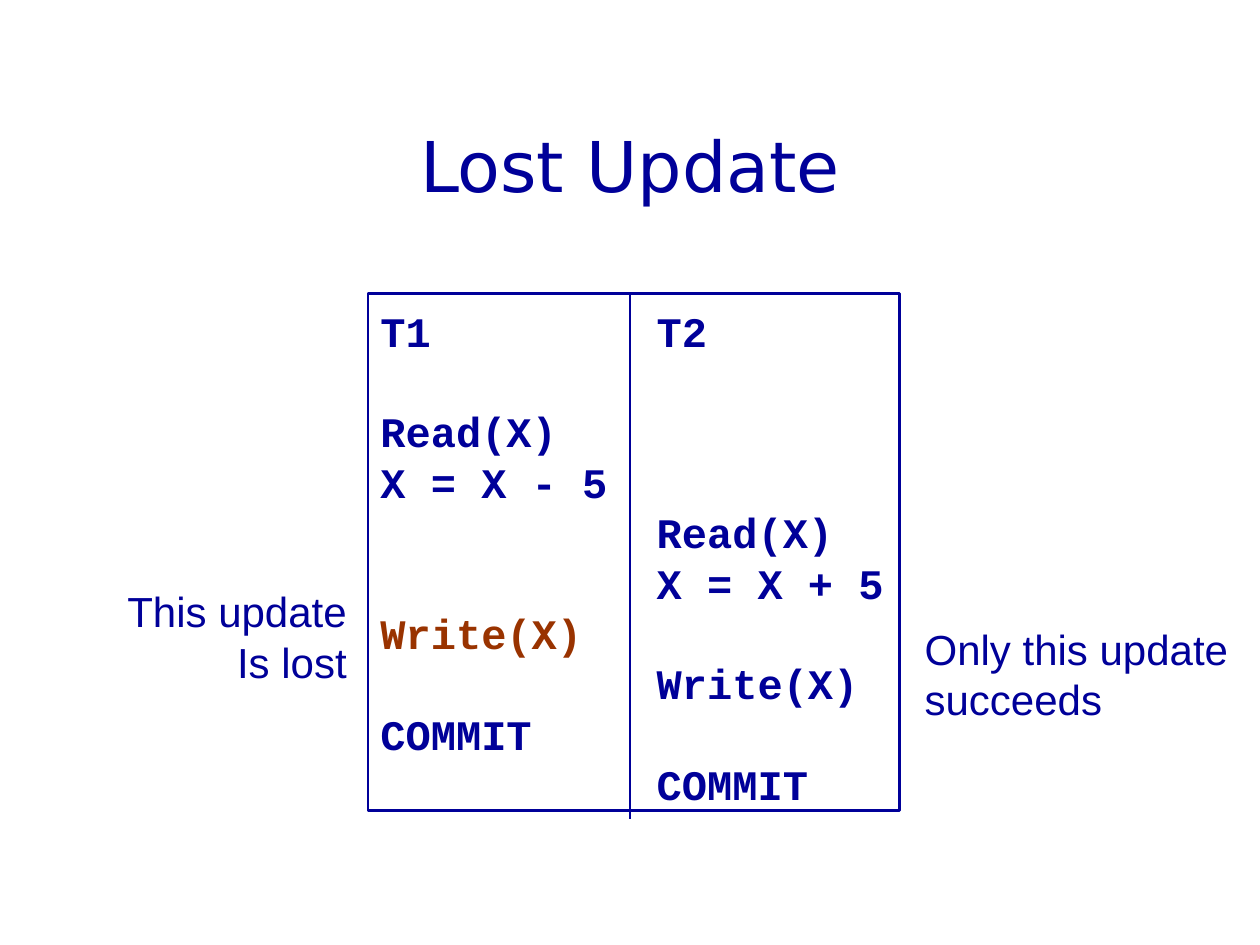
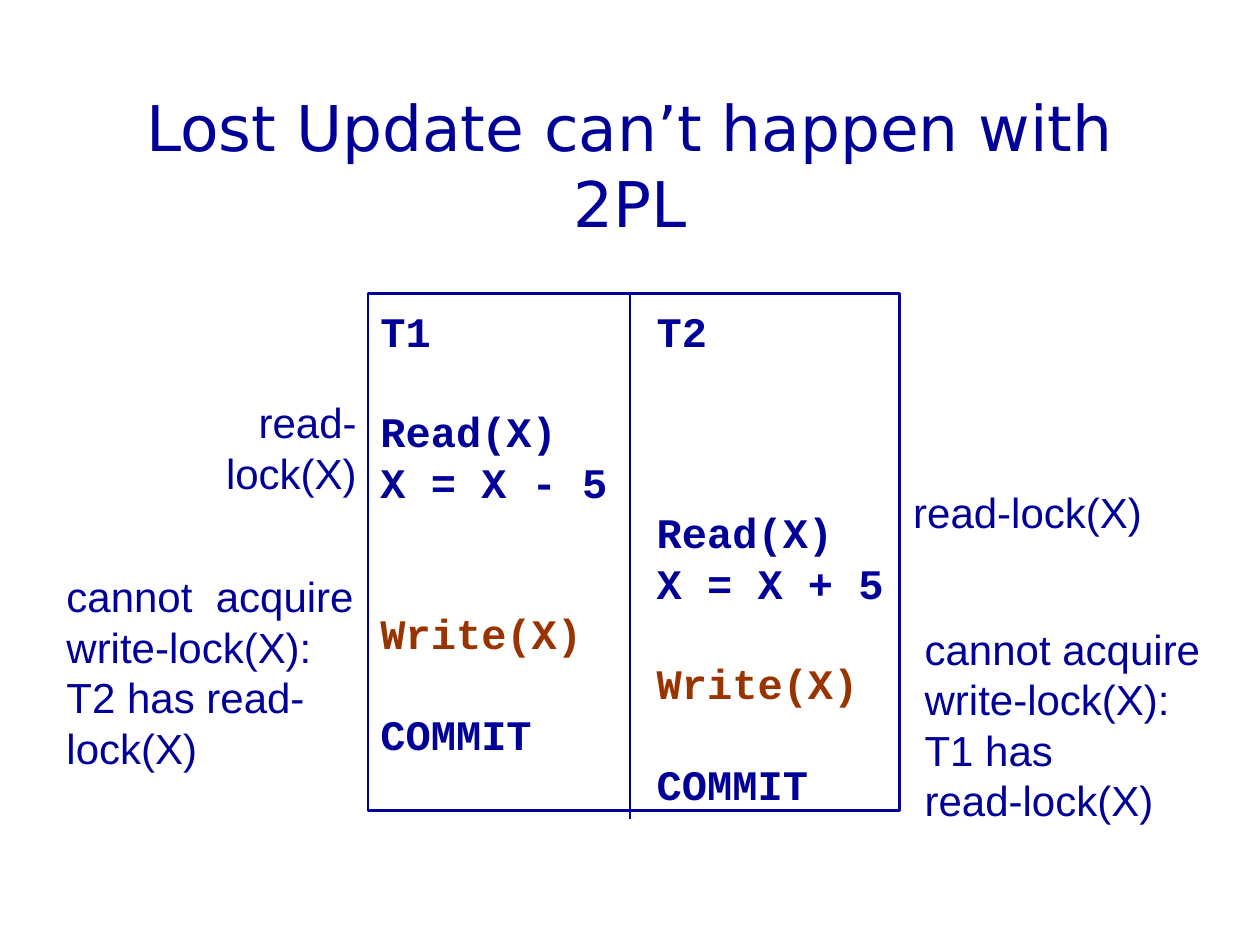
from lxml.etree import SubElement
from pptx import Presentation
from pptx.dml.color import RGBColor
from pptx.enum.shapes import MSO_CONNECTOR as CONN, MSO_SHAPE as SHAPE
from pptx.enum.text import MSO_ANCHOR as ANCHOR, PP_ALIGN as ALIGN
from pptx.oxml.ns import qn
from pptx.util import Cm, Pt

NAVY = RGBColor(0x00, 0x00, 0x99)
RUST = RGBColor(0x99, 0x33, 0x00)
LEFT, RIGHT, CENTER = ALIGN.LEFT, ALIGN.RIGHT, ALIGN.CENTER
BODY = 24
T2_TAB = Cm(5.57)

SCHEDULE = [
    "T1\tT2",
    "Read(X)",
    "X = X - 5",
    "\tRead(X)",
    "\tX = X + 5",
    "Write(X)",
    "\tWrite(X)",
    "COMMIT",
    "\tCOMMIT",
]

SLIDES = [
    ("Lost Update", 40, ["Write(X)"], [
        (2.31, 11.65, 4.93, 2.29, RIGHT, "This update\nIs lost"),
        (18.39, 12.41, 6.9, 2.29, LEFT, "Only this update\nsucceeds"),
    ]),
    ("Lost Update can’t happen with 2PL", 36, ["Write(X)", "\tWrite(X)"], [
        (2.34, 7.84, 5.1, 1.27, RIGHT, "read-lock(X)"),
        (1.09, 11.35, 6.6, 4.32, LEFT,
         "cannot  acquire\nwrite-lock(X):\nT2 has read-lock(X)"),
        (18.16, 9.65, 5.3, 1.27, LEFT, "read-lock(X)"),
        (18.39, 12.41, 6.4, 4.32, LEFT,
         "cannot acquire\nwrite-lock(X):\nT1 has\nread-lock(X)"),
    ]),
]


def format_text(tf, font, size, align=LEFT, bold=False):
    tf.word_wrap = True
    for p in tf.paragraphs:
        p.alignment = align
        p.line_spacing = Pt(size * 1.2)
        for r in p.runs:
            r.font.name = font
            r.font.size = Pt(size)
            r.font.bold = bold
            r.font.color.rgb = NAVY


def add_text(s, x, y, w, h, text, font, size, align):
    tf = s.shapes.add_textbox(Cm(x), Cm(y), Cm(w), Cm(h)).text_frame
    tf.text = text
    tf.margin_top = Cm(0.16)
    format_text(tf, font, size, align)
    return tf


prs = Presentation()
prs.slide_width, prs.slide_height = Cm(25.4), Cm(19.05)

for title, title_size, blocked, notes in SLIDES:
    s = prs.slides.add_slide(prs.slide_layouts[6])
    tf = add_text(s, 1.9, 1.7, 21.6, 3.18, title, "DejaVu Sans", title_size, CENTER)
    tf.vertical_anchor = ANCHOR.MIDDLE

    sp = s.shapes.add_shape(SHAPE.RECTANGLE, Cm(7.42), Cm(5.92), Cm(10.72), Cm(10.42))
    sp.shadow.inherit = False
    sp.fill.background()
    sp.line.color.rgb = NAVY
    sp.line.width = Pt(1.5)
    tf = sp.text_frame
    tf.vertical_anchor = ANCHOR.TOP
    tf.margin_top, tf.margin_bottom = Cm(0.23), 0
    tf.text = "\n".join(SCHEDULE)
    format_text(tf, "Courier New", BODY, bold=True)
    tf.paragraphs[0].space_after = Pt(BODY * 1.2)
    for p, step in zip(tf.paragraphs, SCHEDULE):
        tabs = SubElement(p._p.get_or_add_pPr(), qn("a:tabLst"))
        SubElement(tabs, qn("a:tab"), pos=str(T2_TAB), algn="l")
        if step in blocked:
            for r in p.runs:
                r.font.color.rgb = RUST

    divider = s.shapes.add_connector(CONN.STRAIGHT, Cm(12.7), Cm(5.92), Cm(12.7), Cm(16.51))
    divider.line.color.rgb = NAVY
    divider.line.width = Pt(1.5)
    SubElement(divider._element.spPr, qn("a:effectLst"))

    for x, y, w, h, align, text in notes:
        add_text(s, x, y, w, h, text, "Arial", BODY, align)

prs.save("out.pptx")
